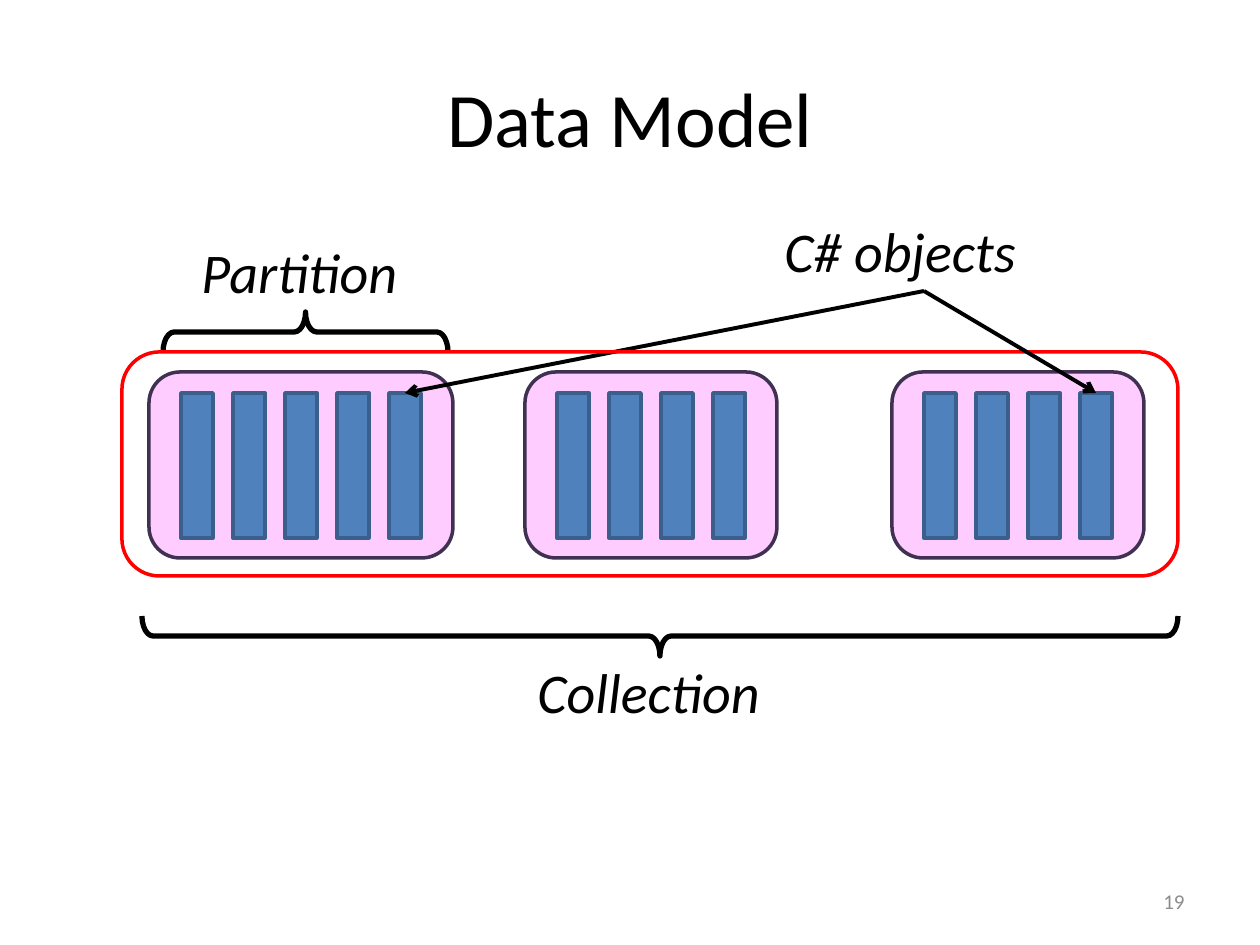
import pptx
import pptx.util
from pptx.dml.color import RGBColor
from pptx.enum.shapes import MSO_CONNECTOR, MSO_SHAPE
from pptx.enum.text import MSO_ANCHOR, MSO_AUTO_SIZE, PP_ALIGN
from pptx.oxml.ns import qn
from lxml import etree

# Content, with lengths in px
TITLE = "Data Model"
PAGE_NUMBER = "19"
PARTITIONS = [(149, 5), (525, 4), (892, 4)]  # left, number of objects
PARTITION_TOP, PARTITION_HEIGHT = 372, 186
OBJECT_TOP, OBJECT_WIDTH, OBJECT_HEIGHT = 393, 32, 145
OBJECT_STEP, OBJECT_INSET = 52, 32
COLLECTION_FRAME = (122, 352, 1056, 224)
PARTITION_BRACE = (163, 312, 285, 40)  # as seen after rotation
COLLECTION_BRACE = (142, 616, 1036, 40)
PARTITION_LABEL = ("Partition", (189, 231, 224, 81), False)
COLLECTION_LABEL = ("Collection", (525, 651, 251, 81), False)
OBJECTS_LABEL = ("C# objects", (772, 210, 304, 81), True)

FONT = "Calibri"
BLACK = "000000"


def px(length):
    return pptx.util.Emu(round(length * 914400 / 126))


def color(hex_string):
    return RGBColor.from_string(hex_string)


def write(frame, text, size=32, ink=BLACK, italic=False, align=PP_ALIGN.LEFT,
          anchor=MSO_ANCHOR.TOP, wrap=True):
    frame.word_wrap = wrap
    frame.vertical_anchor = anchor
    paragraph = frame.paragraphs[0]
    paragraph.alignment = align
    run = paragraph.add_run()
    run.text = text
    run.font.name = FONT
    run.font.size = pptx.util.Pt(size)
    run.font.italic = italic
    run.font.color.rgb = color(ink)


def add_box(slide, kind, box, line, width=2, fill=None):
    shape = slide.shapes.add_shape(kind, *map(px, box))
    shape.shadow.inherit = False
    if fill:
        shape.fill.solid()
        shape.fill.fore_color.rgb = color(fill)
    else:
        shape.fill.background()
    shape.line.color.rgb = color(line)
    shape.line.width = pptx.util.Pt(width)
    return shape


def add_partition(slide, left, count):
    width = 2 * OBJECT_INSET + OBJECT_WIDTH + (count - 1) * OBJECT_STEP
    add_box(slide, MSO_SHAPE.ROUNDED_RECTANGLE,
            (left, PARTITION_TOP, width, PARTITION_HEIGHT), "403152", fill="FFCCFF")
    return [add_box(slide, MSO_SHAPE.RECTANGLE,
                    (left + OBJECT_INSET + i * OBJECT_STEP, OBJECT_TOP,
                     OBJECT_WIDTH, OBJECT_HEIGHT), "3A5F8C", fill="4F81BD")
            for i in range(count)]


def add_brace(slide, seen, rotation):
    left, top, width, height = seen
    upright = (left + (width - height) / 2, top + (height - width) / 2, height, width)
    brace = add_box(slide, MSO_SHAPE.LEFT_BRACE, upright, BLACK, width=3)
    brace.adjustments[0] = 0.28
    brace.rotation = rotation


def add_label(slide, text, box, wrap):
    label = slide.shapes.add_textbox(*map(px, box))
    write(label.text_frame, text, italic=True, wrap=wrap)
    label.text_frame.auto_size = MSO_AUTO_SIZE.SHAPE_TO_FIT_TEXT
    return label


def add_arrow(slide, source, target):
    arrow = slide.shapes.add_connector(MSO_CONNECTOR.STRAIGHT, 0, 0, 0, 0)
    arrow.begin_connect(source, 2)
    arrow.end_connect(target, 0)
    arrow.line.color.rgb = color(BLACK)
    arrow.line.width = pptx.util.Pt(2.25)
    properties = arrow.element.spPr
    etree.SubElement(properties.find(qn("a:ln")), qn("a:tailEnd"), type="arrow")
    etree.SubElement(properties, qn("a:effectLst"))


def main():
    deck = pptx.Presentation()
    deck.slide_width, deck.slide_height = px(1260), px(945)
    slide = deck.slides.add_slide(deck.slide_layouts[5])

    # Title and page number
    title = slide.shapes.title
    title.left, title.top, title.width, title.height = map(px, (63, 38, 1134, 157))
    write(title.text_frame, TITLE, size=44, align=PP_ALIGN.CENTER,
          anchor=MSO_ANCHOR.MIDDLE)
    number = slide.shapes.add_textbox(*map(px, (903, 876, 294, 50)))
    write(number.text_frame, PAGE_NUMBER, size=12, ink="8C8C8C",
          align=PP_ALIGN.RIGHT, anchor=MSO_ANCHOR.MIDDLE)

    # Partitions holding objects
    objects = [add_partition(slide, left, count) for left, count in PARTITIONS]

    # Braces and labels
    add_label(slide, *PARTITION_LABEL)
    add_brace(slide, PARTITION_BRACE, 90)
    add_label(slide, *COLLECTION_LABEL)
    add_brace(slide, COLLECTION_BRACE, 270)
    objects_label = add_label(slide, *OBJECTS_LABEL)

    # Collection frame, between the two arrows to sample objects
    add_arrow(slide, objects_label, objects[0][-1])
    add_box(slide, MSO_SHAPE.ROUNDED_RECTANGLE, COLLECTION_FRAME, "FF0000")
    add_arrow(slide, objects_label, objects[-1][-1])

    deck.save("out.pptx")


if __name__ == "__main__":
    main()
